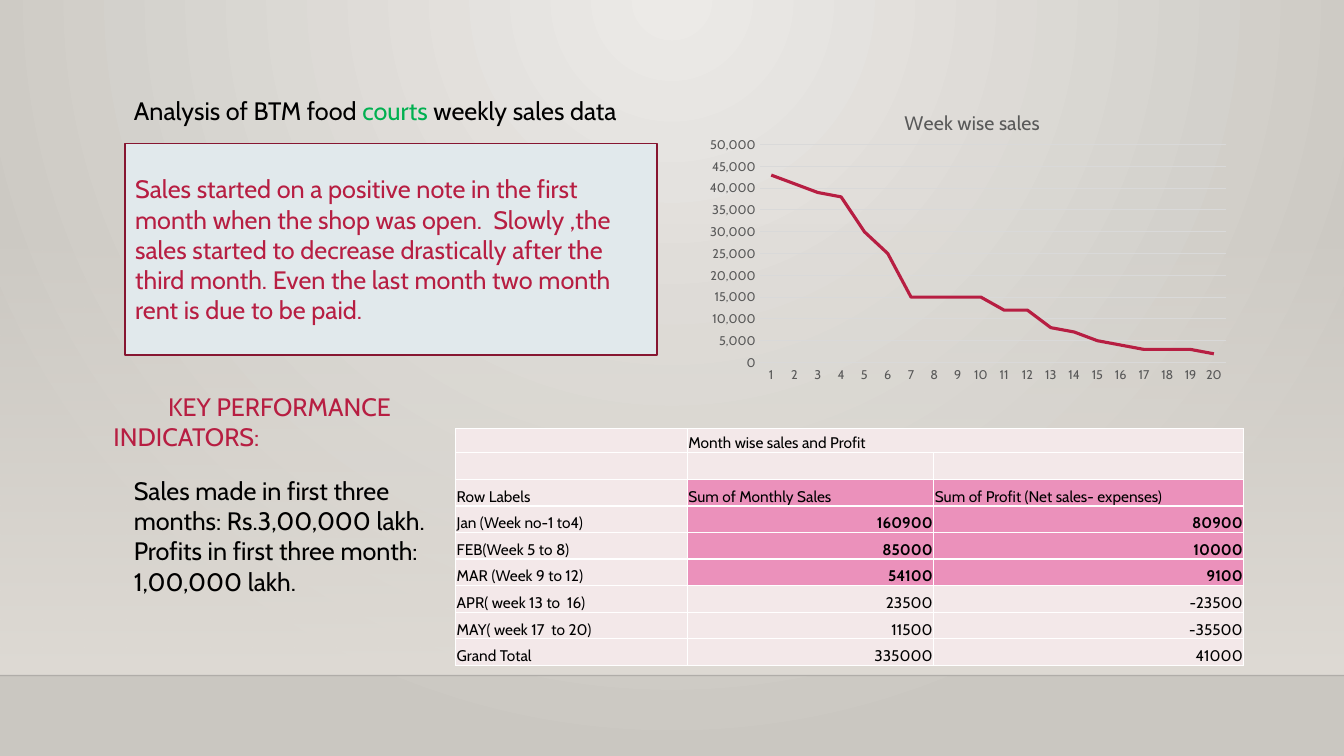
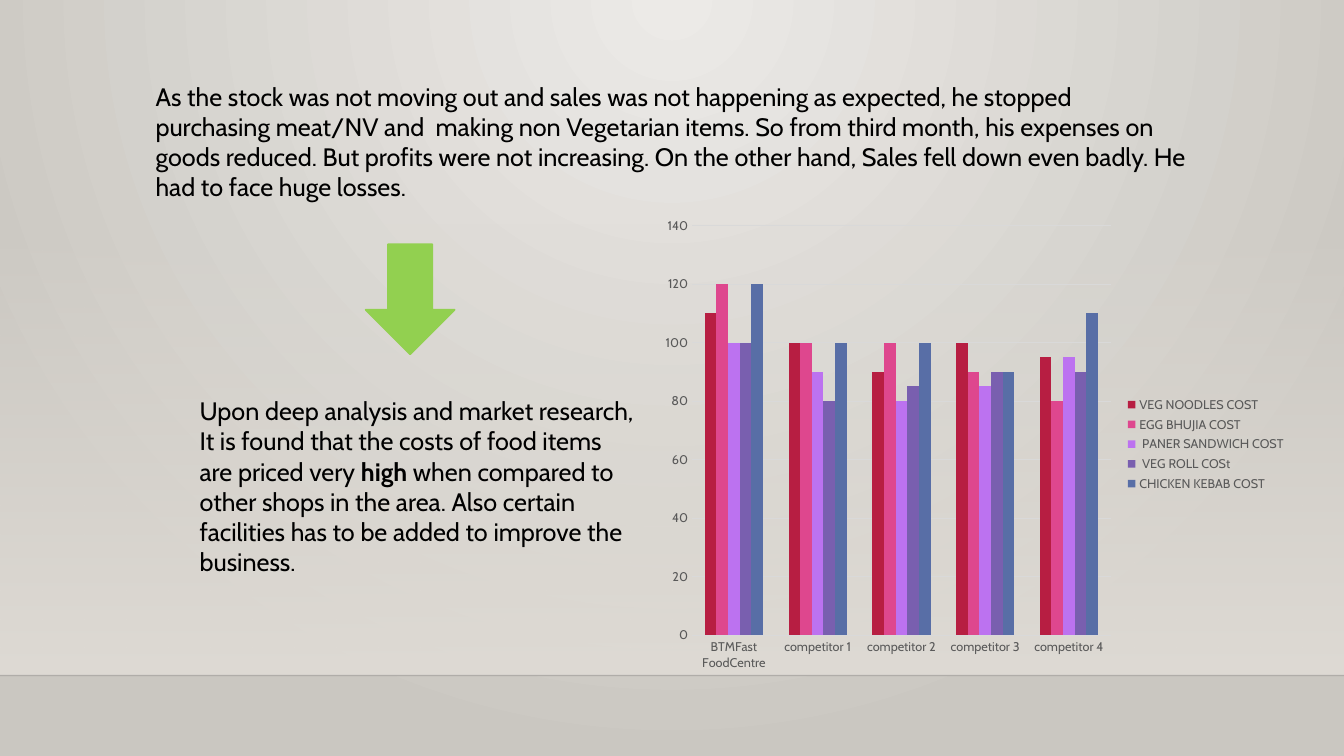
from lxml import etree
from pptx import Presentation
from pptx.chart.data import CategoryChartData
from pptx.dml.color import RGBColor
from pptx.enum.chart import XL_CHART_TYPE, XL_LEGEND_POSITION, XL_TICK_MARK
from pptx.enum.shapes import MSO_CONNECTOR, MSO_SHAPE
from pptx.enum.text import MSO_ANCHOR, MSO_AUTO_SIZE, PP_ALIGN
from pptx.oxml.ns import qn
from pptx.util import Pt

LINE, COLUMN = XL_CHART_TYPE.LINE, XL_CHART_TYPE.COLUMN_CLUSTERED
RECT, ARROW = MSO_SHAPE.RECTANGLE, MSO_SHAPE.DOWN_ARROW
TOP, MIDDLE, BOTTOM = MSO_ANCHOR.TOP, MSO_ANCHOR.MIDDLE, MSO_ANCHOR.BOTTOM
LEFT, RIGHT = PP_ALIGN.LEFT, PP_ALIGN.RIGHT
NO_TICK = XL_TICK_MARK.NONE

FONT = "Cabin"
HEX = {
    "light": "ECEAE7", "dark": "CAC7C1", "band": "DFDBD5", "rule": "000001",
    "black": "000000", "green": "00B050", "red": "B71E42", "wine": "871631",
    "ice": "E1E9EC", "lime": "92D050", "grey": "595959", "grid": "D9D9D9",
    "white": "FFFFFF", "blush": "F3E8E9", "pink": "EB91BB", "rose": "DE478E",
    "lilac": "BC72F0", "plum": "795FAF", "blue": "586EA6",
}
RGB = {name: RGBColor.from_string(code) for name, code in HEX.items()}


def write(frame, lines, color="black", size=18, anchor=TOP):
    """Fill a text frame; a line is a string or a list of (text, colour, bold) runs."""
    frame.word_wrap = True
    frame.auto_size = MSO_AUTO_SIZE.NONE
    frame.vertical_anchor = anchor
    for n, line in enumerate(lines):
        para = frame.paragraphs[0] if n == 0 else frame.add_paragraph()
        para.alignment = LEFT
        for text, tint, bold in line if isinstance(line, list) else [(line, color, False)]:
            run = para.add_run()
            run.text = text
            run.font.name, run.font.size, run.font.bold = FONT, Pt(size), bold
            run.font.color.rgb = RGB[tint]


def plot(slide, kind, box, names, rows, top, step):
    """Add a chart; each row is (series name, values, colour)."""
    data = CategoryChartData()
    data.categories = names
    for name, values, _ in rows:
        data.add_series(name, values)
    chart = slide.shapes.add_chart(kind, *map(Pt, box), data).chart
    chart.font.name, chart.font.size = FONT, Pt(9)
    chart.font.color.rgb = RGB["grey"]
    chart.has_title = chart.has_legend = False
    chart.plots[0].vary_by_categories = False
    cat, val = chart.category_axis, chart.value_axis
    cat.major_tick_mark = val.major_tick_mark = NO_TICK
    val.minimum_scale, val.maximum_scale, val.major_unit = 0, top, step
    val.format.line.fill.background()
    for line in (cat.format.line, val.major_gridlines.format.line):
        line.color.rgb, line.width = RGB["grid"], Pt(0.75)
    for series, (_, _, color) in zip(chart.plots[0].series, rows):
        if kind == LINE:
            series.smooth = False
            series.format.line.color.rgb = RGB[color]
            series.format.line.width = Pt(2.25)
        else:
            series.format.fill.solid()
            series.format.fill.fore_color.rgb = RGB[color]
    return chart


deck = Presentation()
deck.slide_width, deck.slide_height = Pt(960), Pt(540)
sales = deck.slides.add_slide(deck.slide_layouts[5])
costs = deck.slides.add_slide(deck.slide_layouts[6])

# Master: round gradient behind everything
master = deck.slide_master
fill = master.background.fill
fill.gradient()
for stop, color in zip(fill.gradient_stops, ("light", "dark")):
    stop.color.rgb = RGB[color]
lin = master.element.xpath(".//p:bg//a:lin")[0]
ring = etree.Element(qn("a:path"), {"path": "circle"})
etree.SubElement(ring, qn("a:fillToRect"), l="43000", t="0", r="43000", b="100000")
lin.getparent().replace(lin, ring)

# Master: fading band and the rule below it
band = sales.shapes.add_shape(RECT, 0, Pt(159), Pt(960), Pt(323.5))
band.shadow.inherit = False
band.line.fill.background()
band.fill.gradient()
band.fill.gradient_angle = 270
for stop in band.fill.gradient_stops:
    stop.color.rgb = RGB["band"]
rule = sales.shapes.add_connector(MSO_CONNECTOR.STRAIGHT, 0, Pt(482.5), Pt(960), Pt(482.5))
rule.line.color.rgb, rule.line.width = RGB["rule"], Pt(1)
etree.SubElement(rule.element.spPr, qn("a:effectLst"))
for n, (part, alpha) in enumerate(((band, "0"), (rule, "20000"))):
    tint = part.element.xpath(".//p:spPr//a:srgbClr")[0]
    etree.SubElement(tint, qn("a:alpha"), val=alpha)
    part.element.xpath(".//p:cNvPr")[0].set("id", str(50 + n))
    master.shapes.element.insert(2 + n, part.element)

# Sales: title
title = sales.shapes.title
title.left, title.top, title.width, title.height = Pt(88.5), Pt(64.5), Pt(371), Pt(51)
write(title.text_frame, [[("Analysis of BTM food ", "black", False),
                          ("courts", "green", False),
                          (" weekly sales data", "black", False)]])

# Sales: weekly line chart
weeks = [43000, 41000, 39000, 38000, 30000, 25000, 15000, 15000, 15000, 15000,
         12000, 12000, 8000, 7000, 5000, 4000, 3000, 3000, 3000, 2000]
chart = plot(sales, LINE, (500.75, 67.25, 387.5, 216), [str(n) for n in range(1, 21)],
             [("Series 1", weeks, "red")], 50000, 5000)
chart.value_axis.tick_labels.number_format = "#,##0"
chart.value_axis.tick_labels.number_format_is_linked = False
chart.has_title = True
head = chart.chart_title.text_frame
head.text = "Week wise sales"
font = head.paragraphs[0].runs[0].font
font.name, font.size, font.bold = FONT, Pt(14), False
font.color.rgb = RGB["grey"]
area = chart.element.xpath(".//c:plotArea")[0]
for old in area.findall(qn("c:layout")):
    area.remove(old)
frame = etree.Element(qn("c:layout"))
area.insert(0, frame)
manual = etree.SubElement(frame, qn("c:manualLayout"))
for tag, value in (("layoutTarget", "inner"), ("xMode", "edge"), ("yMode", "edge"),
                   ("x", "0.108"), ("y", "0.167"), ("w", "0.859"), ("h", "0.721")):
    etree.SubElement(manual, qn("c:" + tag), val=value)

# Sales: framed comment
note = sales.shapes.add_shape(RECT, Pt(89.5), Pt(102.5), Pt(380), Pt(151.25))
note.shadow.inherit = False
note.fill.solid()
note.fill.fore_color.rgb = RGB["ice"]
note.line.color.rgb, note.line.width = RGB["wine"], Pt(1.25)
write(note.text_frame, [
    "Sales started on a positive note in the first month when the shop was open.  "
    "Slowly ,the sales started to decrease drastically after the third month. "
    "Even the last month two month rent is due to be paid."], "red", anchor=MIDDLE)

# Sales: key figures
label = sales.shapes.add_textbox(Pt(74), Pt(276), Pt(230), Pt(51))
write(label.text_frame, ["KEY PERFORMANCE INDICATORS:"], "red")
label.text_frame.paragraphs[0]._p.get_or_add_pPr().set("indent", str(Pt(39)))
facts = sales.shapes.add_textbox(Pt(88.5), Pt(336), Pt(246), Pt(94))
write(facts.text_frame, ["Sales made in first three months: Rs.3,00,000 lakh.",
                         "Profits in first three month: 1,00,000 lakh."])

# Sales: monthly table
cells = [
    ("", "Month wise sales and Profit", ""),
    ("", "", ""),
    ("Row Labels", "Sum of Monthly Sales", "Sum of Profit (Net sales- expenses)"),
    ("Jan (Week no-1 to4)", "160900", "80900"),
    ("FEB(Week 5 to 8)", "85000", "10000"),
    ("MAR (Week 9 to 12)", "54100", "9100"),
    ("APR( week 13 to  16)", "23500", "-23500"),
    ("MAY( week 17  to 20)", "11500", "-35500"),
    ("Grand Total", "335000", "41000"),
]
table = sales.shapes.add_table(9, 3, Pt(325.5), Pt(306), Pt(563), Pt(169.4)).table
table.first_row = table.horz_banding = False
for column, width in zip(table.columns, (165.5, 176, 221.5)):
    column.width = Pt(width)
for r, texts in enumerate(cells):
    table.rows[r].height = Pt(19 if r else 17.4)
    for c, text in enumerate(texts):
        cell = table.cell(r, c)
        cell.margin_left = cell.margin_right = cell.margin_top = Pt(0.75)
        cell.margin_bottom = 0
        cell.vertical_anchor = BOTTOM
        cell.fill.solid()
        cell.fill.fore_color.rgb = RGB["pink" if c and 2 <= r <= 5 else "blush"]
        para = cell.text_frame.paragraphs[0]
        para.text = text
        para.alignment = RIGHT if c and r > 2 else LEFT
        for run in para.runs:
            run.font.name, run.font.size = FONT, Pt(11)
            run.font.bold = bool(c and 3 <= r <= 5)
            run.font.color.rgb = RGB["black"]
        if not text:
            etree.SubElement(para._p, qn("a:endParaRPr"), sz="1100")
        props = cell._tc.get_or_add_tcPr()
        for n, side in enumerate("LRTB"):
            edge = etree.Element(qn("a:ln" + side), w=str(Pt(1)))
            paint = etree.SubElement(edge, qn("a:solidFill"))
            etree.SubElement(paint, qn("a:srgbClr"), val=HEX["white"])
            props.insert(n, edge)
table.cell(0, 1).merge(table.cell(0, 2))

# Costs: story from losses to finding
loss = costs.shapes.add_textbox(Pt(104), Pt(54.25), Pt(752), Pt(94))
write(loss.text_frame, [
    "As the stock was not moving out and sales was not happening as expected, he stopped "
    "purchasing meat/NV and  making non Vegetarian items. So from third month, his "
    "expenses on goods reduced. But profits were not increasing. On the other hand, "
    "Sales fell down even badly. He had to face huge losses."])
arrow = costs.shapes.add_shape(ARROW, Pt(261.25), Pt(174.5), Pt(63.5), Pt(78.5))
arrow.shadow.inherit = False
arrow.fill.solid()
arrow.fill.fore_color.rgb = arrow.line.color.rgb = RGB["lime"]
arrow.line.width = Pt(1.25)
cause = costs.shapes.add_textbox(Pt(135.5), Pt(279), Pt(326), Pt(117))
write(cause.text_frame, [
    "Upon deep analysis and market research,",
    [("It is found that the costs of food items are priced very ", "black", False),
     ("high", "black", True),
     (" when compared to other shops in the area. Also certain facilities has to be "
      "added to improve the business.", "black", False)]])

# Costs: price comparison
shops = ["BTMFast FoodCentre"] + [f"competitor {n}" for n in range(1, 5)]
chart = plot(costs, COLUMN, (466.25, 148.75, 459.5, 337), shops, [
    ("VEG NOODLES COST", (110, 100, 90, 100, 95), "red"),
    ("EGG BHUJIA COST", (120, 100, 100, 90, 80), "rose"),
    (" PANER SANDWICH COST", (100, 90, 80, 85, 95), "lilac"),
    (" VEG ROLL COSt", (100, 80, 85, 90, 90), "plum"),
    ("CHICKEN KEBAB COST", (120, 100, 100, 90, 110), "blue"),
], 140, 20)
chart.plots[0].gap_width, chart.plots[0].overlap = 219, 0
chart.has_legend = True
chart.legend.position = XL_LEGEND_POSITION.RIGHT
chart.legend.include_in_layout = False

deck.save("out.pptx")
